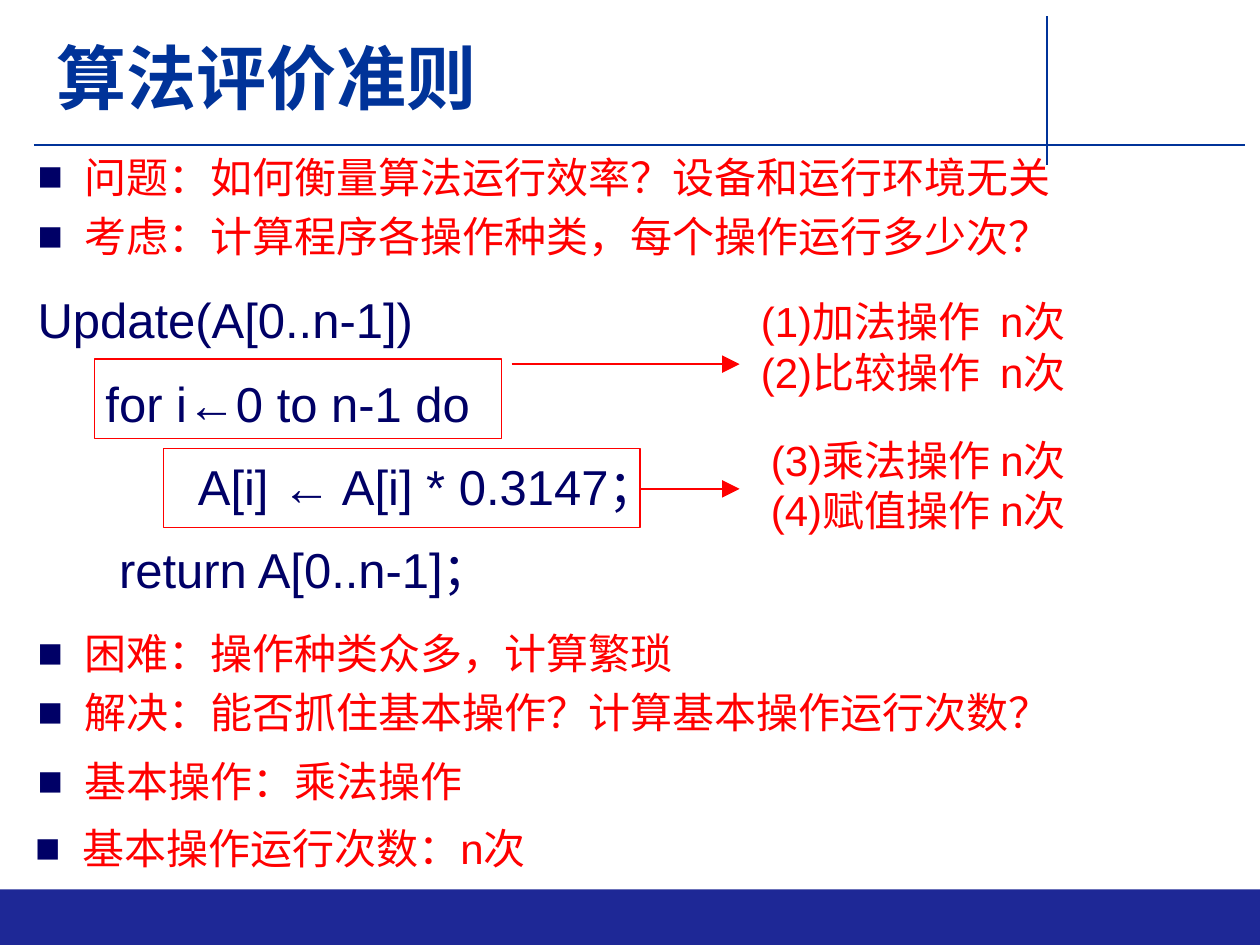
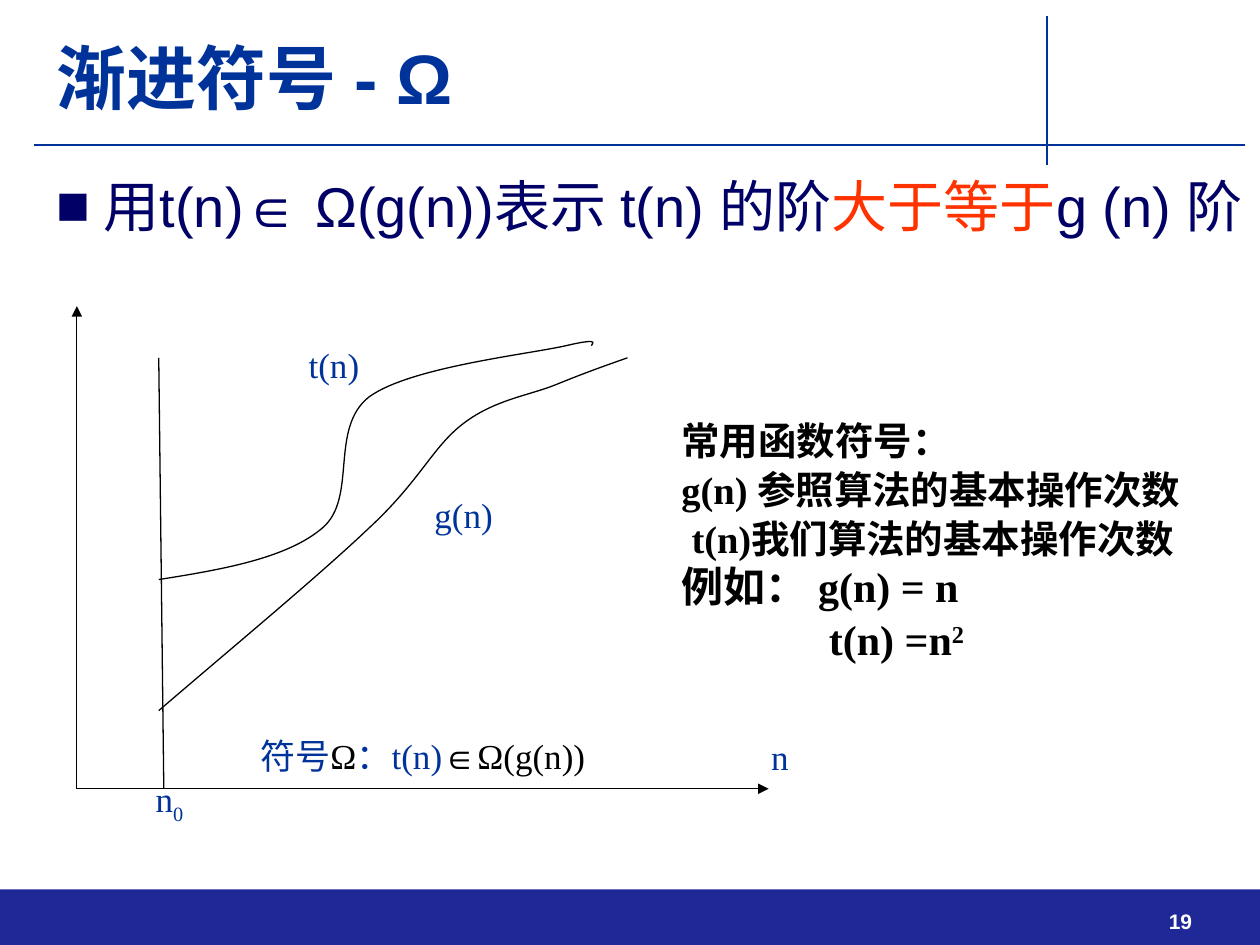
from dataclasses import dataclass

from lxml.etree import SubElement
from pptx import Presentation
from pptx.dml.color import RGBColor
from pptx.enum.shapes import MSO_CONNECTOR, MSO_SHAPE
from pptx.enum.text import MSO_ANCHOR, PP_ALIGN
from pptx.oxml.ns import qn
from pptx.util import Inches, Pt

COLUMNS, ROWS = 100, 75
CELL = Inches(0.1)


@dataclass(frozen=True)
class Theme:
    """Colours, faces and type sizes of the deck."""
    blue: str = "003399"
    navy: str = "000066"
    band: str = "1E2896"
    red: str = "FF0000"
    accent: str = "FF3300"
    black: str = "000000"
    white: str = "FFFFFF"
    sans: str = "Arial"
    serif: str = "Times New Roman"
    cjk: str = "Karla"
    title: int = 40
    lead: int = 32
    code: int = 28
    body: int = 24
    note: int = 22
    label: int = 20
    number: int = 12


THEME = Theme()


def cells(*counts):
    """Turn grid cell counts into slide lengths."""
    return [round(count * CELL) for count in counts]


def set_east_asian(properties):
    """Set the East Asian face beside the Latin one."""
    latin = properties.find(qn("a:latin"))
    east_asian = latin.makeelement(qn("a:ea"))
    east_asian.set("typeface", THEME.cjk)
    latin.addnext(east_asian)


def style(font, size=None, color=None, face=None, bold=None):
    """Apply the given character settings."""
    if size:
        font.size = Pt(size)
    if color:
        font.color.rgb = RGBColor.from_string(color)
    if face:
        font.name = face
    if bold is not None:
        font.bold = bold


def add_bullet(paragraph):
    """Give the paragraph a hanging navy square."""
    properties = paragraph._p.get_or_add_pPr()
    properties.set("marL", str(Pt(27)))
    properties.set("indent", str(-Pt(27)))
    color = SubElement(properties, qn("a:buClr"))
    SubElement(color, qn("a:srgbClr")).set("val", THEME.navy)
    SubElement(properties, qn("a:buFont")).set("typeface", THEME.sans)
    SubElement(properties, qn("a:buChar")).set("char", "■")


def write(paragraph, parts, bullet=False, align=None, before=0, after=0,
          first_line=0, right=0, **look):
    """Fill a paragraph with (text, overrides) parts in one common look."""
    if bullet:
        add_bullet(paragraph)
    for name, count in (("indent", first_line), ("marR", right)):
        if count:
            paragraph._p.get_or_add_pPr().set(name, str(cells(count)[0]))
    paragraph.alignment = align
    paragraph.space_before, paragraph.space_after = Pt(before), Pt(after)
    style(paragraph.font, **look)
    if "face" in look:
        set_east_asian(paragraph._p.pPr.find(qn("a:defRPr")))
    for text, changes in [(parts, {})] if isinstance(parts, str) else parts:
        if text == "\n":
            paragraph.add_line_break()
            continue
        run = paragraph.add_run()
        run.text = text
        settings = dict(changes)
        baseline = settings.pop("baseline", None)
        style(run.font, **settings)
        if "face" in settings:
            set_east_asian(run._r.get_or_add_rPr())
        if baseline:
            run._r.get_or_add_rPr().set("baseline", str(baseline * 1000))


def add_text(slide, area, paragraphs, anchor=MSO_ANCHOR.TOP, gap=0, **look):
    """Add a wrapping text box with one paragraph per entry."""
    frame = slide.shapes.add_textbox(*cells(*area)).text_frame
    frame.word_wrap = True
    frame.vertical_anchor = anchor
    for index, parts in enumerate(paragraphs):
        paragraph = frame.add_paragraph() if index else frame.paragraphs[0]
        write(paragraph, parts, before=gap if index else 0, after=gap, **look)


def add_line(slide, start, end, color, width=0.75, arrow=None):
    """Draw a straight line, with an arrowhead of the given size at its end."""
    line = slide.shapes.add_connector(MSO_CONNECTOR.STRAIGHT, *cells(*start, *end))
    line.line.color.rgb = RGBColor.from_string(color)
    line.line.width = Pt(width)
    if arrow:
        head = SubElement(line.line._get_or_add_ln(), qn("a:tailEnd"))
        for name, value in (("type", "triangle"), ("w", arrow), ("len", arrow)):
            head.set(name, value)
    SubElement(line.element.spPr, qn("a:effectLst"))
    return line


def paint(shape, fill=None, outline=None):
    """Give a shape its fill and outline, or none, and no shadow."""
    shape.shadow.inherit = False
    if fill:
        shape.fill.solid()
        shape.fill.fore_color.rgb = RGBColor.from_string(fill)
    else:
        shape.fill.background()
    if outline:
        shape.line.color.rgb = RGBColor.from_string(outline)
        shape.line.width = Pt(0.75)
    else:
        shape.line.fill.background()
    return shape


def add_box(slide, area, **colors):
    """Draw a rectangle."""
    return paint(slide.shapes.add_shape(MSO_SHAPE.RECTANGLE, *cells(*area)), **colors)


def add_callout(slide, area, pointer, parts):
    """Add a bare callout with a centred graph label."""
    callout = paint(slide.shapes.add_shape(MSO_SHAPE.ROUNDED_RECTANGULAR_CALLOUT,
                                           *cells(*area)))
    callout.adjustments[0], callout.adjustments[1] = pointer
    frame = callout.text_frame
    frame.word_wrap = True
    frame.vertical_anchor = MSO_ANCHOR.MIDDLE
    write(frame.paragraphs[0], parts, align=PP_ALIGN.CENTER,
          size=THEME.label, color=THEME.blue, face=THEME.serif)


def add_curve(slide, start, *knots):
    """Draw an open chain of cubic curves, three knots to each."""
    builder = slide.shapes.build_freeform(*cells(*start))
    builder.add_line_segments([cells(*knot) for knot in knots], close=False)
    curve = paint(builder.convert_to_shape(), outline=THEME.black)
    segments = list(curve.element.iter(qn("a:lnTo")))
    for first in range(0, len(segments), 3):
        cubic = segments[first].makeelement(qn("a:cubicBezTo"))
        segments[first].addprevious(cubic)
        for segment in segments[first:first + 3]:
            cubic.append(segment[0])
            segment.getparent().remove(segment)


def decorate_layout(slide):
    """Put the bottom band and the crossed rules on the shared layout."""
    layout = slide.slide_layout
    for footer in list(layout.placeholders)[1:]:
        footer.element.getparent().remove(footer.element)
    decoration = [
        add_box(slide, (0, 70.6, COLUMNS, ROWS - 70.6), fill=THEME.band),
        add_line(slide, (2.7, 11.5), (98.8, 11.5), THEME.blue, 1.5),
        add_line(slide, (83.1, 1.3), (83.1, 13.1), THEME.blue, 1.5),
    ]
    for part in decoration:
        layout.shapes.element.append(part.element)


def add_titled_slide(deck, title):
    """Add a title-only slide with the deck's heading."""
    slide = deck.slides.add_slide(deck.slide_layouts[5])
    heading = slide.shapes.title
    heading.left, heading.top, heading.width, heading.height = cells(3.5, 2.1, 77.9, 7.9)
    heading.text_frame.vertical_anchor = MSO_ANCHOR.MIDDLE
    write(heading.text_frame.paragraphs[0], title, align=PP_ALIGN.LEFT,
          size=THEME.title, color=THEME.blue, face=THEME.sans, bold=True)
    return slide


def build_criteria(slide):
    """Show how the operations of a small algorithm are counted."""
    points = [
        (2, 11.5, "问题：如何衡量算法运行效率？设备和运行环境无关"),
        (2, 16.2, "考虑：计算程序各操作种类，每个操作运行多少次？"),
        (2, 49.3, "困难：操作种类众多，计算繁琐"),
        (2, 54, "解决：能否抓住基本操作？计算基本操作运行次数？"),
        (2, 59.5, "基本操作：乘法操作"),
        (1.8, 64.8, "基本操作运行次数：n次"),
    ]
    red_text = dict(size=THEME.body, color=THEME.red, face=THEME.sans)
    for left, top, text in points:
        add_text(slide, (left, top, 98, 5.5), [text], bullet=True, **red_text)

    code = ["Update(A[0..n-1])",
            "     for i←0 to n-1 do",
            "            A[i] ← A[i] * 0.3147；",
            "      return A[0..n-1]；"]
    add_text(slide, (2, 22.5, 94.5, 27.5), code, gap=7,
             size=THEME.code, color=THEME.navy, face=THEME.sans)

    counted = [
        ((7.5, 28.5, 32.3, 6.3), 40.6, 28.9, (59.4, 23, 34.7, 11),
         ["(1)加法操作  n次", "(2)比较操作  n次"]),
        ((13, 35.6, 37.8, 6.3), 50.8, 38.8, (60.2, 34, 33.1, 11),
         ["(3)乘法操作 n次", "(4)赋值操作 n次"]),
    ]
    for statement, arrow_left, arrow_row, area, operations in counted:
        add_box(slide, statement, outline=THEME.red)
        add_line(slide, (arrow_left, arrow_row), (58.7, arrow_row), THEME.red, arrow="lg")
        add_text(slide, area, operations, **red_text)


def build_graph(slide):
    """Draw t(n) above g(n) to the right of n0."""
    black = dict(color=THEME.black)
    add_text(slide, (0.5, 57.8, 66.1, 4.4),
             [[("符号", {}), ("Ω", black), ("：t(n)", {}), ("∈Ω(g(n))", black)]],
             align=PP_ALIGN.CENTER, size=THEME.label, color=THEME.blue, face=THEME.serif)
    origin = (6.1, 62.6)
    for tip in ((61, 62.6), (6.1, 24.3)):
        add_line(slide, origin, tip, THEME.black, arrow="med")
    add_line(slide, (13, 62.6), (12.6, 28.4), THEME.black)
    add_curve(slide, (12.6, 46), (17.7, 45.2), (22.8, 44.3), (25.6, 41.9),
              (28.4, 39.5), (26.1, 34), (29.3, 31.5),
              (32.6, 29.1), (42.2, 28.1), (45.1, 27.4),
              (48.1, 26.7), (46.7, 27.5), (47, 27.4))
    add_curve(slide, (12.6, 56.4), (18.9, 51), (25.3, 45.7), (29.3, 41.9),
              (33.4, 38.1), (34.3, 35.5), (36.8, 33.6),
              (39.3, 31.7), (42, 31.4), (44.2, 30.5),
              (46.4, 29.6), (48.1, 29), (49.8, 28.4))
    labels = [
        ((31.2, 37.7, 11.2, 6.2), (-0.51, -0.04), "g(n)"),
        ((20.9, 26.4, 11.2, 5.1), (0.12, 1.29), "t(n)"),
        ((59.1, 57.4, 5.6, 5.2), (-0.35, 0.7), "n"),
        ((10.2, 58.4, 6.5, 10.4), (-0.31, -0.36), [("n", {}), ("0", dict(baseline=-25))]),
    ]
    for area, pointer, parts in labels:
        add_callout(slide, area, pointer, parts)


def build_omega(slide):
    """Explain the Omega notation beside its graph."""
    add_text(slide, (3.5, 13.1, 96.5, 56.7), [[
        ("用t(n)∈ Ω(g(n))表示 t(n) 的阶", dict(color=THEME.navy)),
        ("大于等于", dict(color=THEME.accent)),
        ("g (n) 阶", dict(color=THEME.navy))]],
        bullet=True, size=THEME.lead, face=THEME.sans)
    build_graph(slide)

    serif, cjk = dict(face=THEME.serif), dict(face=THEME.cjk)
    large_serif, large_cjk = (dict(face, size=THEME.body) for face in (serif, cjk))
    notes = [
        (0, [("常用函数符号：", cjk)]),
        (0, [("g(n) ", serif), ("参照算法的基本操作次数", cjk)]),
        (0.8, [("t(n)我们", serif), ("算法的基本操作次数", cjk), ("\n", {}),
               ("例如： ", large_cjk), ("g(n) = n", large_serif)]),
        (11.7, [("t(n) =n", large_serif), ("2", dict(large_serif, baseline=30))]),
    ]
    frame = slide.shapes.add_textbox(*cells(53.1, 32.6, 43.2, 24.8)).text_frame
    frame.word_wrap = True
    for index, (first_line, parts) in enumerate(notes):
        paragraph = frame.add_paragraph() if index else frame.paragraphs[0]
        write(paragraph, parts, before=1.5 if index else 0, first_line=first_line,
              size=THEME.note, color=THEME.black, bold=True)

    add_text(slide, (89.4, 71.5, 8.7, 3.2), ["19"], MSO_ANCHOR.MIDDLE,
             align=PP_ALIGN.RIGHT, right=2.5, size=THEME.number, color=THEME.white,
             face=THEME.sans, bold=True)


def main():
    """Build the deck and save it."""
    deck = Presentation()
    deck.slide_width, deck.slide_height = cells(COLUMNS, ROWS)
    criteria = add_titled_slide(deck, "算法评价准则")
    decorate_layout(criteria)
    build_criteria(criteria)
    build_omega(add_titled_slide(deck, "渐进符号 - Ω"))
    deck.save("out.pptx")


if __name__ == "__main__":
    main()
